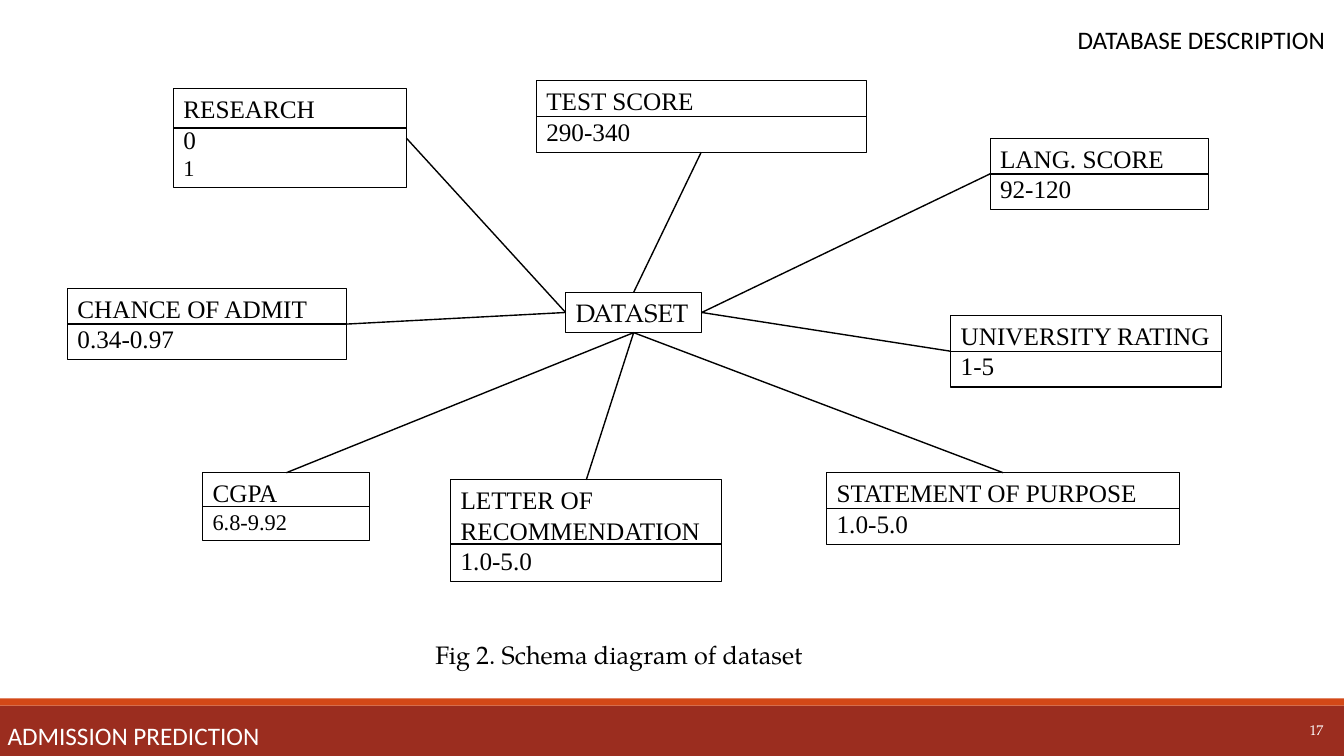
"""Build the schema diagram slide of the admission dataset."""
from dataclasses import dataclass
from lxml.etree import SubElement
from pptx import Presentation
from pptx.dml.color import RGBColor
from pptx.enum.shapes import MSO_CONNECTOR as Conn, MSO_SHAPE as Shape
from pptx.enum.text import MSO_ANCHOR as Anchor, MSO_AUTO_SIZE as Auto, PP_ALIGN as Align
from pptx.oxml.ns import qn
from pptx.util import Inches, Pt


@dataclass(frozen=True)
class Theme:
    black: str = "000000"
    white: str = "FFFFFF"
    bar: str = "9B2D1F"
    stripe: str = "D34817"
    serif: str = "Times New Roman"
    book: str = "TeX Gyre Pagella"
    sans: str = "Calibri"
    text: int = 18
    small: int = 16
    number: int = 10
    border: float = 0.75
    rule: float = 1


T = Theme()
W, H = 13.33, 7.5
BAR_H, STRIPE_H = 0.5, 0.07
TOP, LEFT, BOTTOM, RIGHT = range(4)

TITLE = ("DATABASE DESCRIPTION", (10.33, 0.19, 3.17, 0.4))
FOOTER = ("ADMISSION PREDICTION", (-0.26, 7.1, 3.17, 0.4))
CAPTION = ("Fig 2. Schema diagram of dataset", (4.22, 6.29, 3.89, 0.4))
NUMBER = ("17", (12.89, 7.09, 0.36, 0.3))
HUB = ("DATASET", (5.61, 2.9, 1.35, 0.4))

# name, values with sizes, box, divider share, hub side, own side
FIELDS = [
    ("UNIVERSITY RATING", [("1-5", T.text)], (9.43, 3.13, 2.69, 0.71), 0.5, RIGHT, LEFT),
    ("LANG. SCORE", [("92-120", T.text)], (9.82, 1.37, 2.17, 0.71), 0.5, RIGHT, LEFT),
    ("LETTER OF RECOMMENDATION", [("1.0-5.0", T.text)], (4.47, 4.76, 2.69, 1.01), 0.63, BOTTOM, TOP),
    ("STATEMENT OF PURPOSE", [("1.0-5.0", T.text)], (8.2, 4.69, 3.5, 0.71), 0.5, BOTTOM, TOP),
    ("CHANCE OF ADMIT", [("0.34-0.97", T.text)], (0.67, 2.86, 2.77, 0.71), 0.5, LEFT, RIGHT),
    ("RESEARCH", [("0", T.text), ("1", T.small)], (1.72, 0.88, 2.31, 0.98), 0.4, LEFT, RIGHT),
    ("TEST SCORE", [("290-340", T.text)], (5.32, 0.8, 3.27, 0.71), 0.5, TOP, BOTTOM),
    ("CGPA", [("6.8-9.92", T.small)], (2.01, 4.69, 1.66, 0.67), 0.5, BOTTOM, TOP),
]


def rgb(color):
    return RGBColor.from_string(color)


def inches(box):
    return [Inches(v) for v in box]


def write(sp, lines, font, color=T.black, align=Align.LEFT, anchor=Anchor.TOP, wrap=True):
    tf = sp.text_frame
    tf.auto_size = Auto.NONE
    tf.word_wrap = wrap
    tf.vertical_anchor = anchor
    for i, (text, size) in enumerate(lines):
        p = tf.add_paragraph() if i else tf.paragraphs[0]
        p.alignment = align
        r = p.add_run()
        r.text = text
        r.font.name, r.font.size = font, Pt(size)
        r.font.color.rgb = rgb(color)


def add_band(s, box, color):
    sp = s.shapes.add_shape(Shape.RECTANGLE, *inches(box))
    sp.shadow.inherit = False
    sp.fill.solid()
    sp.fill.fore_color.rgb = rgb(color)
    sp.line.fill.background()


def add_box(s, box, lines, font, wrap=True):
    sp = s.shapes.add_shape(Shape.RECTANGLE, *inches(box))
    sp.shadow.inherit = False
    sp.fill.background()
    sp.line.color.rgb = rgb(T.black)
    sp.line.width = Pt(T.border)
    write(sp, lines, font, wrap=wrap)
    return sp


def add_line(s, x1=0, y1=0, x2=0, y2=0):
    line = s.shapes.add_connector(Conn.STRAIGHT, *inches((x1, y1, x2, y2)))
    line.line.color.rgb = rgb(T.black)
    line.line.width = Pt(T.rule)
    SubElement(line._element.spPr, qn("a:effectLst"))
    return line


def add_label(s, label, size, font, **style):
    text, box = label
    write(s.shapes.add_textbox(*inches(box)), [(text, size)], font, **style)


def add_field(s, hub, name, values, box, share, hub_side, own_side):
    x, y, w, h = box
    sp = add_box(s, box, [(name, T.text)] + values, T.serif)
    add_line(s, x, y + h * share, x + w, y + h * share)
    link = add_line(s)
    link.begin_connect(hub, hub_side)
    link.end_connect(sp, own_side)


def main():
    prs = Presentation()
    prs.slide_width, prs.slide_height = Inches(W), Inches(H)
    s = prs.slides.add_slide(prs.slide_layouts[5])

    add_band(s, (0, H - BAR_H, W, BAR_H), T.bar)
    add_band(s, (0, H - BAR_H - STRIPE_H, W, STRIPE_H), T.stripe)

    text, box = TITLE
    title = s.shapes.title
    title.left, title.top, title.width, title.height = inches(box)
    write(title, [(text, T.text)], T.sans, align=Align.CENTER, anchor=Anchor.MIDDLE)

    text, box = HUB
    hub = add_box(s, box, [(text, T.text)], T.book, wrap=False)
    for field in FIELDS:
        add_field(s, hub, *field)

    add_label(s, CAPTION, T.text, T.book, wrap=False)
    add_label(s, FOOTER, T.text, T.sans, color=T.white, align=Align.CENTER, anchor=Anchor.MIDDLE)
    add_label(s, NUMBER, T.number, T.book, color=T.white, anchor=Anchor.MIDDLE)
    prs.save("out.pptx")


if __name__ == "__main__":
    main()
